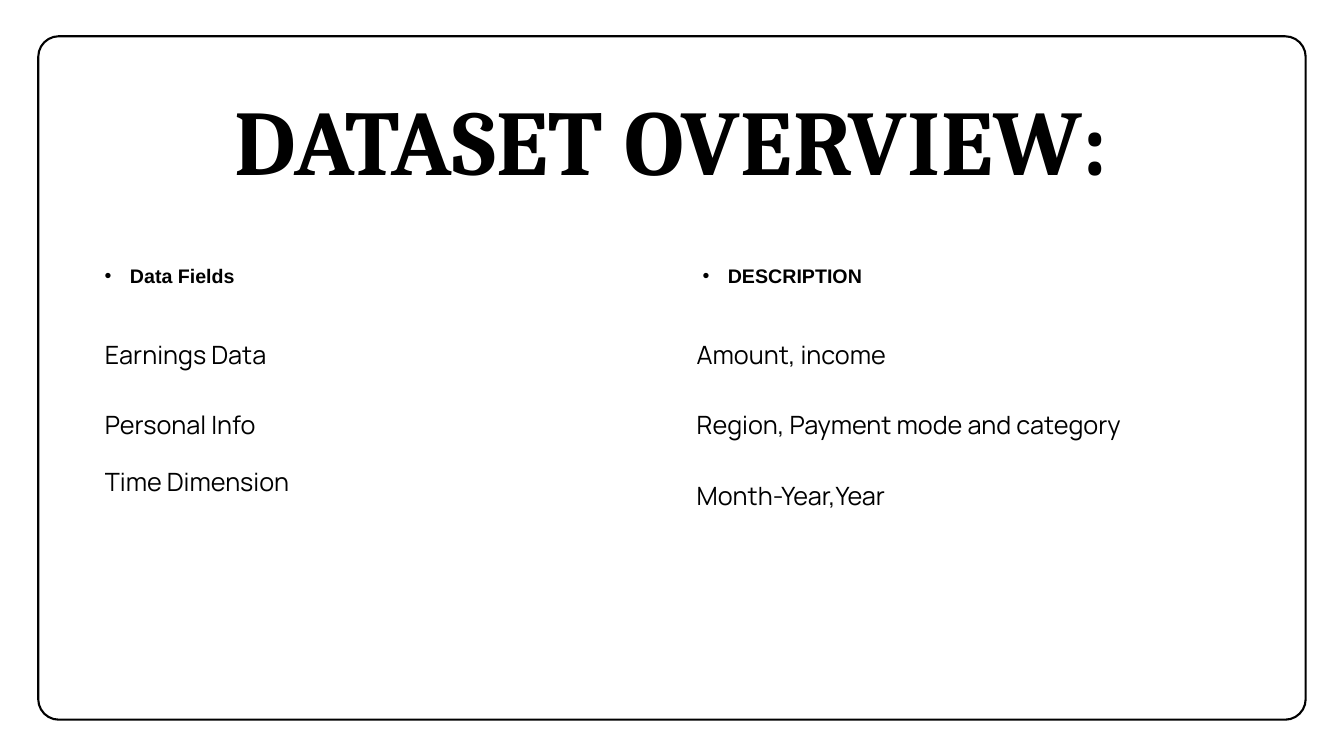
from lxml.etree import SubElement
from pptx import Presentation
from pptx.dml.color import RGBColor
from pptx.enum.shapes import MSO_SHAPE
from pptx.enum.text import MSO_ANCHOR as Anchor, PP_ALIGN as Align
from pptx.oxml.ns import qn
from pptx.util import Inches, Pt

INK = "000000"
WIDTH, HEIGHT = 13.33, 7.5
LEFT = 0.94
COLUMN_WIDTH, COLUMN_STEP = 5.51, 5.93
HEADINGS = ["Data Fields", "DESCRIPTION"]
FIELDS = [
    ("Earnings Data", "Amount, income"),
    ("Personal Info", "Region, Payment mode and category"),
    ("Time Dimension", "Month-Year,Year"),
    ("", ""),
]
FIELD_WIDTHS = [5.87, 5.83]
ROW_HEIGHTS = [0.69, 0.69, 0.72, 0.69]


def colour(value):
    return RGBColor.from_string(value)


def box(left, top, width, height):
    return [Inches(length) for length in (left, top, width, height)]


def style(paragraph, face, size, bold=False):
    font = paragraph.font
    font.name, font.size, font.bold = face, Pt(size), bold
    font.color.rgb = colour(INK)


def add_frame(slide):
    margin_x, margin_y = 0.38, 0.36
    frame = slide.shapes.add_shape(
        MSO_SHAPE.ROUNDED_RECTANGLE,
        *box(margin_x, margin_y, WIDTH - 2 * margin_x, HEIGHT - 2 * margin_y))
    frame.adjustments[0] = 0.03
    frame.shadow.inherit = False
    frame.fill.background()
    frame.line.color.rgb = colour(INK)
    frame.line.width = Pt(1.5)


def set_title(slide, wording):
    title = slide.shapes.title
    title.left, title.top, title.width, title.height = box(LEFT, 0.99, 11.44, 1.24)
    title.text_frame.vertical_anchor = Anchor.TOP
    title.text_frame.word_wrap = True
    paragraph = title.text_frame.paragraphs[0]
    run = paragraph.add_run()
    run.text = wording
    run.font._element.set("spc", "50")
    paragraph.alignment = Align.CENTER
    paragraph.line_spacing = 0.8
    style(paragraph, "Cambria", 66, True)


def add_heading(slide, wording, column):
    heading = slide.shapes.add_textbox(
        *box(LEFT + column * COLUMN_STEP, 2.48, COLUMN_WIDTH, 0.5))
    heading.text_frame.word_wrap = True
    paragraph = heading.text_frame.paragraphs[0]
    paragraph.text = wording
    paragraph.line_spacing = 1.4
    properties = paragraph._p.get_or_add_pPr()
    properties.set("marL", str(Inches(0.25)))
    properties.set("indent", str(-Inches(0.25)))
    SubElement(properties, qn("a:buFont"), typeface="Arial")
    SubElement(properties, qn("a:buChar"), char="•")
    style(paragraph, "Arial", 14, True)


def add_fields(slide):
    table = slide.shapes.add_table(
        len(FIELDS), len(FIELD_WIDTHS),
        *box(LEFT, 3.18, sum(FIELD_WIDTHS), sum(ROW_HEIGHTS))).table
    table.first_row = table.horz_banding = False
    for column, width in zip(table.columns, FIELD_WIDTHS):
        column.width = Inches(width)
    for row, height, wordings in zip(table.rows, ROW_HEIGHTS, FIELDS):
        row.height = Inches(height)
        for cell, wording in zip(row.cells, wordings):
            cell.fill.background()
            cell.text = wording
            cell.vertical_anchor = (
                Anchor.TOP if wording == "Time Dimension" else Anchor.MIDDLE)
            style(cell.text_frame.paragraphs[0], "Manrope", 18)


def main():
    deck = Presentation()
    deck.slide_width, deck.slide_height = Inches(WIDTH), Inches(HEIGHT)
    slide = deck.slides.add_slide(deck.slide_layouts[5])
    add_frame(slide)
    set_title(slide, "DATASET OVERVIEW:")
    for column, wording in enumerate(HEADINGS):
        add_heading(slide, wording, column)
    add_fields(slide)
    deck.save("out.pptx")


if __name__ == "__main__":
    main()
